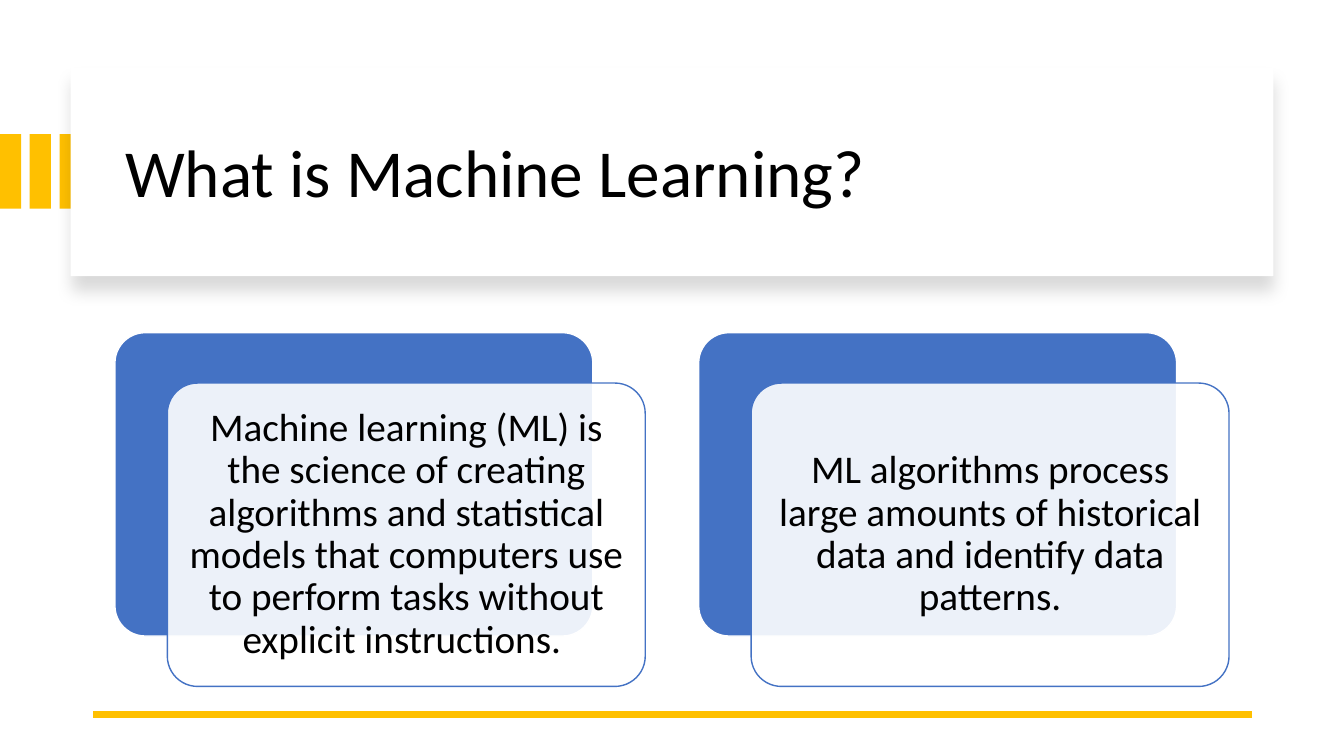
from lxml import etree
from pptx import Presentation
from pptx.dml.color import RGBColor
from pptx.enum.shapes import MSO_CONNECTOR, MSO_SHAPE
from pptx.enum.text import MSO_ANCHOR, PP_ALIGN
from pptx.oxml.ns import qn
from pptx.util import Inches, Pt

HEADING = "What is Machine Learning?"
STATEMENTS = [
    "Machine learning (ML) is the science of creating algorithms and statistical models "
    "that computers use to perform tasks without explicit instructions. ",
    "ML algorithms process large amounts of historical data and identify data patterns.",
]
COLORS = {"gold": "FFC000", "blue": "4472C4", "white": "FFFFFF", "black": "000000"}
FONT = "Calibri"

STRIPE_COUNT, STRIPE_STEP = 3, 0.295
STRIPE_TOP, STRIPE_WIDTH, STRIPE_HEIGHT = 1.33, 0.21, 0.74
PANEL_LEFT, PANEL_TOP, PANEL_STEP = 1.14, 3.3, 5.79
PANEL_WIDTH, PANEL_HEIGHT = 4.74, 3.01
CARD_SHIFT_X, CARD_SHIFT_Y = 0.52, 0.5
CARD_INSET = 0.12


def color(name):
    return RGBColor.from_string(COLORS[name])


def add_box(shapes, kind, left, top, width, height, fill, line=None):
    box = shapes.add_shape(kind, Inches(left), Inches(top), Inches(width), Inches(height))
    box.shadow.inherit = False
    box.fill.solid()
    box.fill.fore_color.rgb = color(fill)
    if line:
        box.line.color.rgb = color(line)
        box.line.width = Pt(1)
    else:
        box.line.fill.background()
    return box


def add_panel(shapes, left, top, fill, line):
    panel = add_box(shapes, MSO_SHAPE.ROUNDED_RECTANGLE, left, top,
                    PANEL_WIDTH, PANEL_HEIGHT, fill, line)
    panel.adjustments[0] = 0.1
    return panel


def set_alpha(color_parent, percent):
    etree.SubElement(color_parent.find(qn("a:srgbClr")), qn("a:alpha"), val=str(percent * 1000))


def cast_shadow(shape, alpha, blur, distance, angle):
    effects = shape._element.spPr.find(qn("a:effectLst"))
    shadow = etree.SubElement(effects, qn("a:outerShdw"), blurRad=str(Pt(blur)),
                              dist=str(Pt(distance)), dir=str(angle * 60000),
                              algn="t", rotWithShape="0")
    etree.SubElement(shadow, qn("a:srgbClr"), val=COLORS["black"])
    set_alpha(shadow, alpha)


def write(frame, text, size, align):
    frame.word_wrap = True
    frame.vertical_anchor = MSO_ANCHOR.MIDDLE
    paragraph = frame.paragraphs[0]
    paragraph.alignment = align
    paragraph.line_spacing = 0.9
    run = paragraph.add_run()
    run.text = text
    run.font.name = FONT
    run.font.size = Pt(size)
    run.font.color.rgb = color("black")


def add_statement(slide, index, text):
    group = slide.shapes.add_group_shape()
    left = PANEL_LEFT + index * PANEL_STEP
    add_panel(group.shapes, left, PANEL_TOP, "blue", "white")
    card = add_panel(group.shapes, left + CARD_SHIFT_X, PANEL_TOP + CARD_SHIFT_Y, "white", "blue")
    set_alpha(card._element.spPr.find(qn("a:solidFill")), 90)
    frame = card.text_frame
    frame.margin_left = frame.margin_right = Inches(CARD_INSET)
    frame.margin_top = frame.margin_bottom = Inches(CARD_INSET)
    write(frame, text, 28, PP_ALIGN.CENTER)


def main():
    deck = Presentation()
    deck.slide_width, deck.slide_height = Inches(13.33), Inches(7.5)
    slide = deck.slides.add_slide(deck.slide_layouts[5])

    stripes = slide.shapes.add_group_shape()
    for i in range(STRIPE_COUNT):
        add_box(stripes.shapes, MSO_SHAPE.RECTANGLE, i * STRIPE_STEP, STRIPE_TOP,
                STRIPE_WIDTH, STRIPE_HEIGHT, "gold")

    banner = add_box(slide.shapes, MSO_SHAPE.RECTANGLE, 0.7, 0.67, 11.93, 2.07, "white")
    cast_shadow(banner, 15, 11, 10, 90)

    title = slide.shapes.title
    title.left, title.top = Inches(1.14), Inches(0.89)
    title.width, title.height = Inches(11.13), Inches(1.7)
    write(title.text_frame, HEADING, 48, PP_ALIGN.LEFT)
    banner._element.addnext(title._element)

    rule = slide.shapes.add_connector(MSO_CONNECTOR.STRAIGHT, Inches(12.42), Inches(7.09),
                                      Inches(0.92), Inches(7.09))
    rule.line.color.rgb = color("gold")
    rule.line.width = Pt(4.5)
    etree.SubElement(rule._element.spPr, qn("a:effectLst"))

    for index, text in enumerate(STATEMENTS):
        add_statement(slide, index, text)

    deck.save("out.pptx")


if __name__ == "__main__":
    main()
